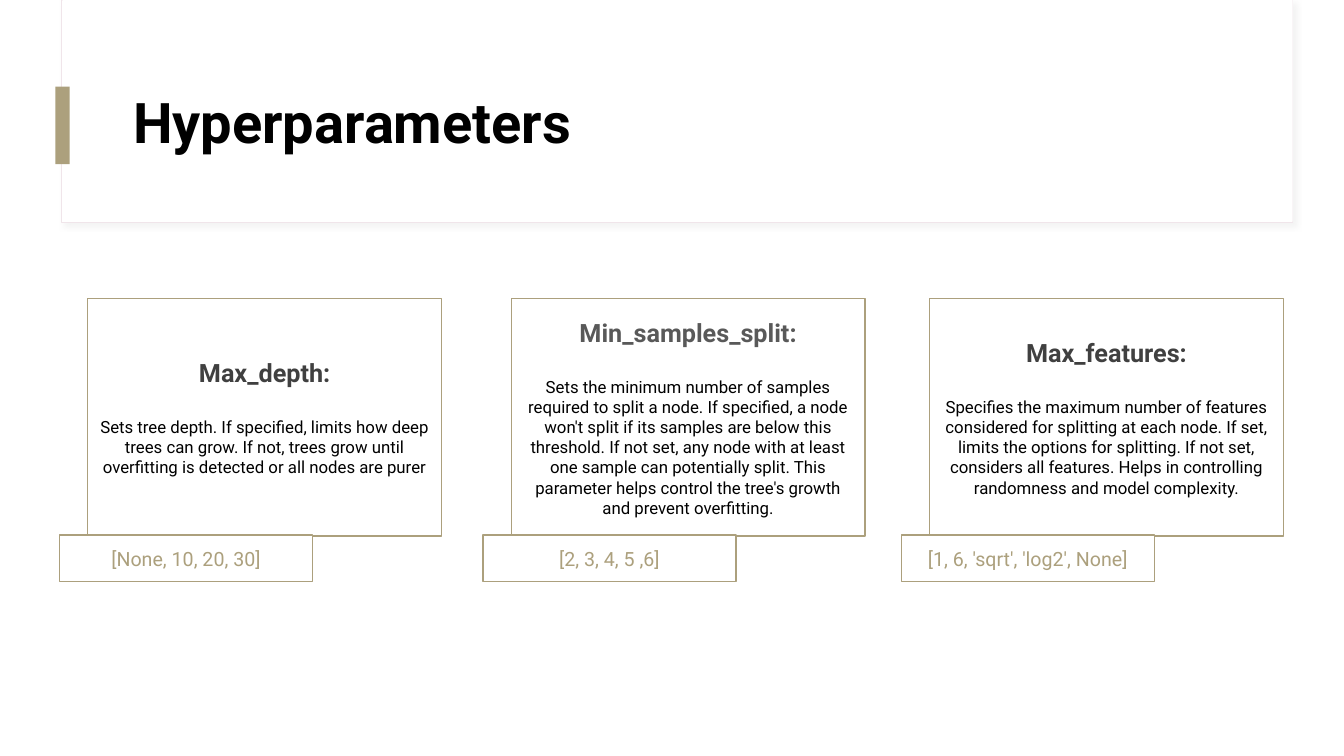
from dataclasses import dataclass

from lxml import etree
from pptx import Presentation
from pptx.dml.color import RGBColor
from pptx.enum.shapes import MSO_SHAPE
from pptx.enum.text import MSO_ANCHOR, MSO_AUTO_SIZE, PP_ALIGN
from pptx.oxml.ns import qn
from pptx.util import Inches, Pt

RECTANGLE = MSO_SHAPE.RECTANGLE
MIDDLE = MSO_ANCHOR.MIDDLE
NO_AUTOFIT = MSO_AUTO_SIZE.NONE
LEFT, CENTER = PP_ALIGN.LEFT, PP_ALIGN.CENTER
TITLE_ONLY_LAYOUT = 5


@dataclass(frozen=True)
class Theme:
    font: str = "Roboto"
    white: str = "FFFFFF"
    black: str = "000000"
    accent: str = "ACA07D"
    panel_line: str = "F0E5EA"
    shadow: str = "D9D9D9"
    heading: str = "404040"
    heading_light: str = "595959"
    title_size: int = 40
    heading_size: int = 18
    value_size: int = 14
    body_size: int = 12


THEME = Theme()

CARDS = [
    (0.87, "Max_depth:", THEME.heading,
     "Sets tree depth. If specified, limits how deep trees can grow. If not, "
     "trees grow until overfitting is detected or all nodes are purer",
     "[None, 10, 20, 30]"),
    (5.07, "Min_samples_split:", THEME.heading_light,
     "Sets the minimum number of samples required to split a node. If specified, "
     "a node won't split if its samples are below this threshold. If not set, any "
     "node with at least one sample can potentially split. This parameter helps "
     "control the tree's growth and prevent overfitting.",
     "[2, 3, 4, 5 ,6]"),
    (9.22, "Max_features:", THEME.heading,
     "Specifies the maximum number of features considered for splitting at each "
     "node. If set, limits the options for splitting. If not set, considers all "
     "features. Helps in controlling randomness and model complexity.",
     "[1, 6, 'sqrt', 'log2', None]"),
]


def add_box(slide, left, top, width, height, fill, line=None, line_width=1):
    shape = slide.shapes.add_shape(
        RECTANGLE, Inches(left), Inches(top), Inches(width), Inches(height))
    shape.shadow.inherit = False
    shape.fill.solid()
    shape.fill.fore_color.rgb = RGBColor.from_string(fill)
    if line:
        shape.line.color.rgb = RGBColor.from_string(line)
        shape.line.width = Pt(line_width)
    else:
        shape.line.fill.background()
    shape.text_frame.word_wrap = True
    shape.text_frame.vertical_anchor = MIDDLE
    return shape


def add_soft_shadow(shape):
    effects = shape.element.spPr.find(qn("a:effectLst"))
    shadow = etree.SubElement(
        effects, qn("a:outerShdw"), blurRad=str(Pt(4)), dist=str(Pt(3)),
        dir=str(45 * 60000), algn="tl", rotWithShape="0")
    color = etree.SubElement(shadow, qn("a:srgbClr"), val=THEME.shadow)
    etree.SubElement(color, qn("a:alpha"), val="30000")


def write_paragraph(paragraph, text, size, color, bold=False, alignment=CENTER):
    paragraph.text = text
    paragraph.alignment = alignment
    font = paragraph.runs[0].font
    font.name = THEME.font
    font.size = Pt(size)
    font.bold = bold
    font.color.rgb = RGBColor.from_string(color)


def add_header(slide, left, top, width, height):
    panel = add_box(slide, left, top, width, height,
                    THEME.white, THEME.panel_line, 0.75)
    add_soft_shadow(panel)
    add_box(slide, left + 0.01, top, width - 0.01, height - 0.01, THEME.white)
    add_box(slide, left - 0.06, top + 0.86, 0.14, 0.77, THEME.accent)

    title = slide.shapes.title
    slide.shapes.element.append(title.element)  # in front of the panel
    title.left, title.top = Inches(left + 0.61), Inches(top + 0.6)
    title.width, title.height = Inches(11.12), Inches(1.29)
    text_frame = title.text_frame
    text_frame.word_wrap = True
    text_frame.auto_size = NO_AUTOFIT
    text_frame.vertical_anchor = MIDDLE
    paragraph = text_frame.paragraphs[0]
    write_paragraph(paragraph, "Hyperparameters", THEME.title_size,
                    THEME.black, True, LEFT)
    paragraph.line_spacing = 0.9


def add_card(slide, left, top, width, height, name, name_color, description, values):
    """Description box with its tested values on a tab at the lower left."""
    card = add_box(slide, left, top, width, height, THEME.white, THEME.accent)
    heading = card.text_frame.paragraphs[0]
    write_paragraph(heading, name, THEME.heading_size, name_color, True)
    body = card.text_frame.add_paragraph()
    write_paragraph(body, description, THEME.body_size, THEME.black)
    body.space_before = Pt(21)

    tab = add_box(slide, left - 0.28, top + height - 0.01, 2.51, 0.46,
                  THEME.white, THEME.accent)
    write_paragraph(tab.text_frame.paragraphs[0], values,
                    THEME.value_size, THEME.accent)


def main():
    presentation = Presentation()
    presentation.slide_width = Inches(13.33)
    presentation.slide_height = Inches(7.5)
    slide = presentation.slides.add_slide(
        presentation.slide_layouts[TITLE_ONLY_LAYOUT])
    add_header(slide, 0.61, 0, 12.21, 2.21)
    for left, *content in CARDS:
        add_card(slide, left, 2.96, 3.51, 2.36, *content)
    presentation.save("out.pptx")


if __name__ == "__main__":
    main()
